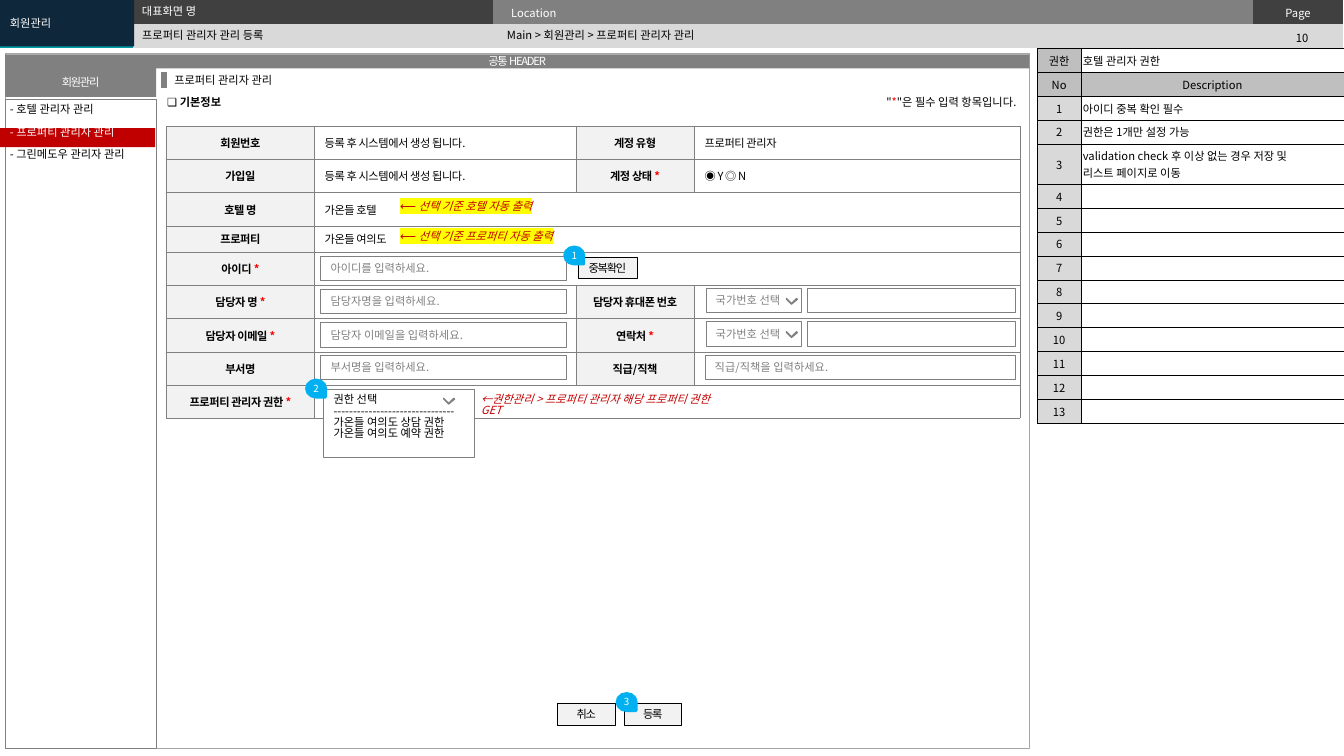
from lxml.etree import SubElement
from pptx import Presentation
from pptx.dml.color import RGBColor
from pptx.enum.shapes import MSO_CONNECTOR, MSO_SHAPE
from pptx.enum.text import MSO_ANCHOR, MSO_AUTO_SIZE, PP_ALIGN
from pptx.oxml.ns import qn
from pptx.util import Inches, Pt

FONT = "Noto Sans CJK KR"
COLORS = {
    "black": "000000", "white": "FFFFFF", "red": "FF0000", "crimson": "C00000",
    "yellow": "FFFF00", "navy": "0E273B", "teal": "009CA6", "sky": "00B0F0",
    "charcoal": "404040", "arrow": "5F5F5F", "gray": "808080", "frame": "A6A6A6",
    "silver": "BFBFBF", "light": "D9D9D9", "pale": "F2F2F2",
}
LEFT, CENTER, RIGHT = PP_ALIGN.LEFT, PP_ALIGN.CENTER, PP_ALIGN.RIGHT


def rgb(name):
    """Return the palette colour with this name."""
    return RGBColor.from_string(COLORS[name])


def style_run(run, color, size=8, bold=False, italic=False, tracking=0, highlight=None):
    """Format one run of text."""
    font = run.font
    font.size, font.bold, font.italic = Pt(size), bold, italic
    font.color.rgb = rgb(color)
    props = run._r.get_or_add_rPr()
    if tracking:
        props.set("spc", str(round(tracking * 100)))
    if highlight:
        SubElement(SubElement(props, qn("a:highlight")), qn("a:srgbClr")).set("val", COLORS[highlight])
    font.name = FONT
    SubElement(props, qn("a:ea")).set("typeface", FONT)


def write(frame, text, color="black", align=LEFT, spacing=None, line_colors=(), **style):
    """Write lines of text, colouring each required-field asterisk red."""
    frame.text = text
    for index, paragraph in enumerate(frame.paragraphs):
        paragraph.alignment = align
        if spacing:
            paragraph.line_spacing = spacing
        line_color = line_colors[index] if line_colors else color
        before, star, after = paragraph.text.partition("*")
        paragraph.text = before
        for run in paragraph.runs:
            style_run(run, line_color, **style)
        for part, part_color in ((star, "red"), (after, line_color)):
            if part:
                run = paragraph.add_run()
                run.text = part
                style_run(run, part_color, **style)
        if not text:
            SubElement(paragraph._p, qn("a:endParaRPr")).set("sz", "800")


def set_margins(owner, horizontal, vertical):
    """Set the inner margins of a text frame or a table cell."""
    owner.margin_left = owner.margin_right = Inches(horizontal)
    owner.margin_top = owner.margin_bottom = Inches(vertical)


def add_label(slide, box, text, anchor=MSO_ANCHOR.TOP, **style):
    """Add a text box."""
    frame = slide.shapes.add_textbox(*map(Inches, box)).text_frame
    frame.word_wrap = True
    frame.vertical_anchor = anchor
    write(frame, text, **style)


def paint(shape, fill, line, width):
    """Set the fill and outline of a shape."""
    shape.shadow.inherit = False
    if fill:
        shape.fill.solid()
        shape.fill.fore_color.rgb = rgb(fill)
    else:
        shape.fill.background()
    if line:
        shape.line.color.rgb = rgb(line)
        shape.line.width = Pt(width)
    else:
        shape.line.fill.background()


def add_panel(slide, box, fill=None, line=None, text="", margins=(0.1, 0.05),
              anchor=MSO_ANCHOR.MIDDLE, **style):
    """Add a rectangle that may hold text."""
    panel = slide.shapes.add_shape(MSO_SHAPE.RECTANGLE, *map(Inches, box))
    paint(panel, fill, line, 0.25)
    if text:
        frame = panel.text_frame
        set_margins(frame, *margins)
        frame.vertical_anchor = anchor
        write(frame, text, **style)


def add_field(slide, left, top, width, hint=""):
    """Add an input field with its hint."""
    add_panel(slide, (left, top, width, 0.24), "white", "gray", hint, color="gray")


def add_button(slide, left, top, width, text):
    """Add a push button."""
    add_panel(slide, (left, top, width, 0.21), "pale", "black", text, (0, 0), align=CENTER, tracking=-0.9)


def add_chevron(slide, left, top):
    """Add the arrow of a drop-down list."""
    outline = [(0.11, 0.01), (0.1, 0), (0.05, 0.05), (0, 0), (0, 0.01), (0.05, 0.06)]
    points = [(Inches(left + x), Inches(top + y)) for x, y in outline]
    builder = slide.shapes.build_freeform(*points[0])
    builder.add_line_segments(points[1:], close=True)
    paint(builder.convert_to_shape(), "arrow", "gray", 0.75)


def add_marker(slide, left, top, number):
    """Add a numbered drop that points to an item of the description."""
    marker = slide.shapes.add_shape(MSO_SHAPE.TEAR, *map(Inches, (left, top, 0.17, 0.19)))
    marker.rotation = 90
    paint(marker, "sky", "sky", 2)
    frame = marker.text_frame
    set_margins(frame, 0, 0)
    frame.vertical_anchor = MSO_ANCHOR.MIDDLE
    frame._txBody.bodyPr.set("vert", "vert270")
    write(frame, str(number), "white", CENTER, size=7)


def add_grid(slide, left, top, widths, heights):
    """Add an unbanded table and return its graphic frame."""
    grid = slide.shapes.add_table(len(heights), len(widths), *map(Inches, (left, top, sum(widths), sum(heights))))
    grid.table.first_row = grid.table.horz_banding = False
    for column, width in zip(grid.table.columns, widths):
        column.width = Inches(width)
    for row, height in zip(grid.table.rows, heights):
        row.height = Inches(height)
    return grid


def fill_cell(cell, text, fill, border=None, width=0.25, margins=(0.1, 0.05), **style):
    """Set the borders, fill and text of a table cell."""
    props = cell._tc.get_or_add_tcPr()
    for side in ("a:lnL", "a:lnR", "a:lnT", "a:lnB"):
        edge = SubElement(props, qn(side), w=str(Pt(width)))
        if border:
            SubElement(SubElement(edge, qn("a:solidFill")), qn("a:srgbClr")).set("val", COLORS[border])
        else:
            SubElement(edge, qn("a:noFill"))
    cell.fill.solid()
    cell.fill.fore_color.rgb = rgb(fill)
    set_margins(cell, *margins)
    cell.vertical_anchor = MSO_ANCHOR.MIDDLE
    write(cell.text_frame, text, **style)


def add_page_header(slide):
    """Add the band with screen name, location and page number."""
    band = add_grid(slide, 0, 0, [1.32, 3.57, 7.54, 0.89], [0.23, 0.23])
    rows = [[("", "teal"), ("", "charcoal"), ("Location", "gray"), ("Page", "charcoal")],
            [("", "teal")] + [("", "light")] * 3]
    for r, row in enumerate(rows):
        for c, (text, fill) in enumerate(row):
            fill_cell(band.table.cell(r, c), text, fill, margins=(0.18, 0.04), color="white",
                      align=CENTER if c == 3 else LEFT)
    band.table.cell(0, 0).merge(band.table.cell(1, 0))
    title = slide.shapes.title
    band.element.addnext(title.element)
    title.left, title.top, title.width, title.height = map(Inches, (1.31, 0.24, 3.63, 0.22))
    title.text_frame.auto_size = MSO_AUTO_SIZE.NONE
    title.text_frame.vertical_anchor = MSO_ANCHOR.MIDDLE
    write(title.text_frame, "프로퍼티 관리자 관리 등록")
    add_label(slide, (12.48, 0.26, 0.87, 0.24), "10", align=CENTER)
    add_label(slide, (4.93, 0.23, 7.38, 0.24), "Main > 회원관리 > 프로퍼티 관리자 관리", MSO_ANCHOR.MIDDLE)
    add_label(slide, (1.31, 0, 3.62, 0.22), "대표화면 명", MSO_ANCHOR.MIDDLE, color="white")
    add_panel(slide, (0, 0, 1.33, 0.46), "navy", text="회원관리", color="white")


def add_navigation(slide):
    """Add the screen frame and the side menu."""
    add_panel(slide, (0.05, 0.53, 10.16, 6.89), line="frame")
    add_panel(slide, (0.05, 0.98, 1.5, 6.44), line="gray")
    for box, text in (((0.05, 0.54, 10.16, 0.14), "공통 HEADER"), ((0.05, 0.67, 1.5, 0.29), "회원관리")):
        add_panel(slide, box, "gray", text=text, color="white", align=CENTER, tracking=-0.9)
    add_panel(slide, (0, 1.27, 1.54, 0.19), "crimson")
    add_label(slide, (0, 0.88, 1.55, 0.87), "- 호텔 관리자 관리\n- 프로퍼티 관리자 관리\n- 그린메도우 관리자 관리",
              spacing=1.67, line_colors=("black", "white", "black"))


def add_description(slide):
    """Add the numbered description table."""
    notes = ["아이디 중복 확인 필수", "권한은 1개만 설정 가능",
             "validation check 후 이상 없는 경우 저장 및\n리스트 페이지로 이동"] + [""] * 10
    rows = [("권한", "호텔 관리자 권한"), ("No", "Description")]
    rows += [(str(number), note) for number, note in enumerate(notes, 1)]
    tall = 0.4
    short = (3.72 - tall) / (len(rows) - 1)
    table = add_grid(slide, 10.29, 0.48, [0.43, 2.61], [tall if "\n" in note else short for _, note in rows]).table
    for r, row in enumerate(rows):
        fills = ("silver" if r < 2 else "light", "silver" if r == 1 else "white")
        for c, text in enumerate(row):
            fill_cell(table.cell(r, c), text, fills[c], "black", 0.5, (0.02, 0.03),
                      align=CENTER if c == 0 or r == 1 else LEFT)


def add_form(slide):
    """Add the form table with its fields and lists."""
    pending = "등록 후 시스템에서 생성 됩니다."
    rows = [("회원번호", pending, "계정 유형", "프로퍼티 관리자"),
            ("가입일", pending, "계정 상태 *", "◉ Y ◎ N"),
            ("호텔 명", "가온들 호텔"), ("프로퍼티", "가온들 여의도"), ("아이디 *", ""),
            ("담당자 명 *", "", "담당자 휴대폰 번호", ""), ("담당자 이메일 *", "", "연락처 *", ""),
            ("부서명", "", "직급/직책", ""), ("프로퍼티 관리자 권한 *", "")]
    heights = [0.26 if row[0] == "프로퍼티" else 0.33 for row in rows]
    table = add_grid(slide, 1.65, 1.25, [1.47, 2.59, 1.18, 3.23], heights).table
    for r, row in enumerate(rows):
        for c, text in enumerate(row + ("",) * (4 - len(row))):
            heading = c % 2 == 0 and c < len(row)
            fill_cell(table.cell(r, c), text, "pale" if heading else "white", "gray",
                      align=CENTER if heading else LEFT, bold=heading, tracking=-0.3)
        if len(row) == 2:
            table.cell(r, 1).merge(table.cell(r, 3))
    for top, hint in ((2.54, "아이디를 입력하세요."), (2.87, "담당자명을 입력하세요."),
                      (3.2, "담당자 이메일을 입력하세요."), (3.52, "부서명을 입력하세요.")):
        add_field(slide, 3.18, top, 2.44, hint)
    add_field(slide, 6.99, 3.52, 3.08, "직급/직책을 입력하세요.")
    for top in (2.86, 3.19):
        add_field(slide, 7, top, 0.95, "국가번호 선택")
        add_field(slide, 8.01, top, 2.06)
        add_chevron(slide, 7.8, top + 0.1)
    for top, target in ((1.93, "호텔"), (2.23, "프로퍼티")):
        add_label(slide, (3.87, top, 1.9, 0.24), f"⟵ 선택 기준 {target} 자동 출력",
                  color="crimson", italic=True, highlight="yellow")
    add_panel(slide, (3.21, 3.86, 1.49, 0.68), "white", "gray",
              "권한 선택\n-------------------------------\n가온들 여의도 상담 권한\n가온들 여의도 예약 권한",
              (0.1, 0.06), MSO_ANCHOR.TOP, spacing=0.83)
    add_chevron(slide, 4.4, 3.95)
    add_label(slide, (4.67, 3.86, 2.65, 0.4), "←권한관리 > 프로퍼티 관리자 해당 프로퍼티 권한 GET",
              color="crimson", italic=True, spacing=0.87)


def add_content(slide):
    """Add the section headings, form, buttons and markers."""
    add_label(slide, (1.63, 0.68, 2.41, 0.24), "프로퍼티 관리자 관리")
    bar = slide.shapes.add_connector(MSO_CONNECTOR.STRAIGHT, *map(Inches, (1.63, 0.71, 1.63, 0.87)))
    bar.line.color.rgb = rgb("gray")
    bar.line.width = Pt(4.5)
    SubElement(bar._element.spPr, qn("a:effectLst"))
    add_label(slide, (1.56, 0.9, 1, 0.24), "❏ 기본정보", bold=True)
    add_label(slide, (8.18, 0.9, 2, 0.24), '"*"은 필수 입력 항목입니다.', align=RIGHT)
    add_form(slide)
    for left, top, width, text in ((5.53, 6.98, 0.57, "취소"), (6.19, 6.98, 0.57, "등록"),
                                   (5.73, 2.55, 0.59, "중복확인")):
        add_button(slide, left, top, width, text)
    for number, (left, top) in enumerate(((5.61, 2.44), (3.05, 3.76), (6.13, 6.87)), 1):
        add_marker(slide, left, top, number)


def main():
    """Build the slide and save it."""
    deck = Presentation()
    deck.slide_width, deck.slide_height = Inches(13.33), Inches(7.5)
    slide = deck.slides.add_slide(deck.slide_layouts[5])
    add_page_header(slide)
    add_navigation(slide)
    add_description(slide)
    add_content(slide)
    deck.save("out.pptx")


if __name__ == "__main__":
    main()
